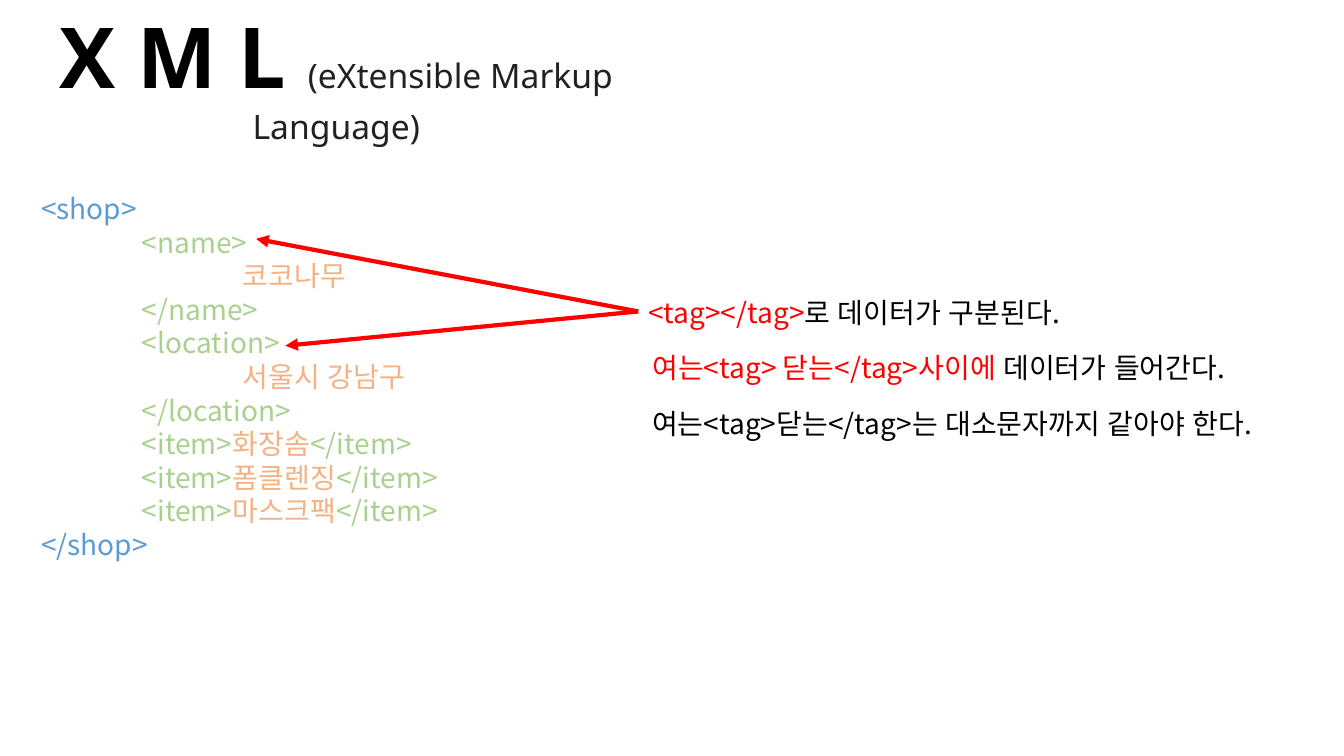
from lxml import etree
from pptx import Presentation
from pptx.dml.color import RGBColor
from pptx.enum.shapes import MSO_CONNECTOR
from pptx.enum.text import PP_ALIGN
from pptx.oxml.ns import qn
from pptx.util import Inches, Pt

TITLE_FONT, BODY_FONT, EAST_ASIAN_FONT = "Noto Sans", "Noto Sans CJK KR", "Noto Sans"
BLACK, GREY, RED = "000000", "202122", "FF0000"
BLUE, GREEN, ORANGE = "5B9BD5", "A9D18E", "F4B183"

# Content: each line is a list of (text, colour) runs
TITLE = [("X M L ", BLACK, 60, True),
         ("(eXtensible Markup Language)", GREY, 24, False)]
ITEMS = ["화장솜", "폼클렌징", "마스크팩"]
CODE = [
    [("<shop>", BLUE)],
    [("\t<name>", GREEN)],
    [("\t\t코코나무", ORANGE)],
    [("\t</name>", GREEN)],
    [("\t<location>", GREEN)],
    [("\t\t서울시 강남구", ORANGE)],
    [("\t</location>", GREEN)],
    *[[("\t<item>", GREEN), (item, ORANGE), ("</item>", GREEN)] for item in ITEMS],
    [("</shop>", BLUE)],
]
# Notes: left, width, runs
NOTES = [
    (6.33, 5.51, [("<tag></tag>", RED), ("로 데이터가 구분된다.", BLACK)]),
    (6.37, 6.42, [("여는<tag> 닫는</tag>사이에", RED), (" 데이터가 들어간다.", BLACK)]),
    (6.37, 6.76, [("여는<tag>닫는</tag>는 대소문자까지 같아야 한다.", BLACK)]),
]
NOTE_TOP, NOTE_STEP, NOTE_HEIGHT = 2.88, 0.55, 0.44
ARROW_START = (6.33, 3.09)
ARROW_ENDS = [(2.54, 2.37), (2.83, 3.43)]


def colour(value):
    return RGBColor.from_string(value)


def add_text_frame(slide, left, top, width, height):
    box = slide.shapes.add_textbox(*map(Inches, (left, top, width, height)))
    box.text_frame.word_wrap = True
    return box.text_frame


def add_run(paragraph, text, run_colour, font_name):
    run = paragraph.add_run()
    run.text = text
    run.font.name = font_name
    run.font.color.rgb = colour(run_colour)
    east_asian = etree.SubElement(run.font._element, qn("a:ea"))
    east_asian.set("typeface", EAST_ASIAN_FONT)
    return run


def add_lines(frame, lines):
    for index, runs in enumerate(lines):
        paragraph = frame.add_paragraph() if index else frame.paragraphs[0]
        paragraph.font.size = Pt(20)
        paragraph.line_spacing = Pt(24)
        # One-inch tab stops
        paragraph._p.get_or_add_pPr().set("defTabSz", str(Inches(1)))
        for text, run_colour in runs:
            add_run(paragraph, text, run_colour, BODY_FONT).font.size = Pt(20)


def add_arrow(slide, start, end):
    arrow = slide.shapes.add_connector(
        MSO_CONNECTOR.STRAIGHT, *map(Inches, (*start, *end)))
    arrow.line.color.rgb = colour(RED)
    arrow.line.width = Pt(3)
    tail = etree.SubElement(arrow.line._get_or_add_ln(), qn("a:tailEnd"))
    tail.set("type", "triangle")
    etree.SubElement(arrow._element.spPr, qn("a:effectLst"))


def main():
    presentation = Presentation()
    presentation.slide_width, presentation.slide_height = Inches(13.33), Inches(7.5)
    slide = presentation.slides.add_slide(presentation.slide_layouts[6])

    # Title
    heading = add_text_frame(slide, 0, 0, 6.67, 1.11).paragraphs[0]
    heading.alignment = PP_ALIGN.CENTER
    for text, run_colour, size, bold in TITLE:
        run = add_run(heading, text, run_colour, TITLE_FONT)
        run.font.size, run.font.bold = Pt(size), bold

    # XML sample
    add_lines(add_text_frame(slide, 0.31, 1.85, 4.42, 3.8), CODE)

    # Arrows to the opening tags
    for end in ARROW_ENDS:
        add_arrow(slide, ARROW_START, end)

    # Notes
    for row, (left, width, runs) in enumerate(NOTES):
        frame = add_text_frame(slide, left, NOTE_TOP + row * NOTE_STEP, width, NOTE_HEIGHT)
        add_lines(frame, [runs])

    presentation.save("out.pptx")


if __name__ == "__main__":
    main()
